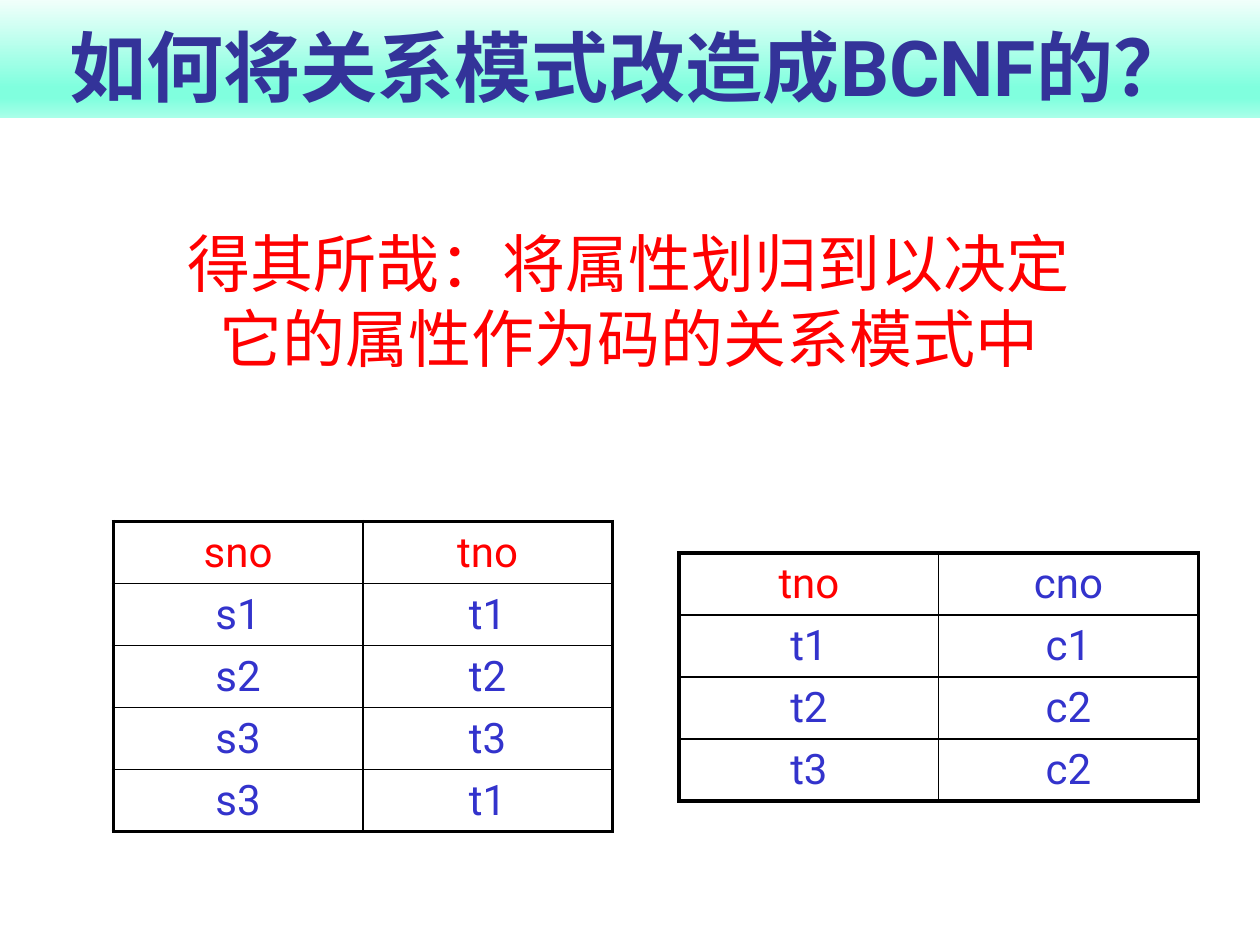
import pptx
import pptx.util
import pptx.dml.color
import pptx.enum.shapes
import pptx.enum.text
import pptx.oxml.ns
from lxml import etree

Inches, Pt = pptx.util.Inches, pptx.util.Pt
qn = pptx.oxml.ns.qn
ANCHOR = pptx.enum.text.MSO_ANCHOR

RED, BLUE, NAVY, BLACK = "FF0000", "3333CC", "333399", "000000"
CJK_FONT = "Noto Sans CJK SC"
TITLE = "如何将关系模式改造成BCNF的？"
PRINCIPLE = "得其所哉：将属性划归到以决定它的属性作为码的关系模式中"
TITLE_GRADIENT = [(0, "F1FFFB"), (74, "80FFDE"), (83, "80FFDE"), (100, "AAFFE9")]
ROW_HEIGHT = 0.49
RELATIONS = [
    {"left": 0.9, "top": 4.14, "column_width": 1.98, "key": ["sno", "tno"],
     "rows": [["sno", "tno"], ["s1", "t1"], ["s2", "t2"], ["s3", "t3"], ["s3", "t1"]]},
    {"left": 5.39, "top": 4.39, "column_width": 2.06, "key": ["tno"],
     "rows": [["tno", "cno"], ["t1", "c1"], ["t2", "c2"], ["t3", "c2"]]},
]


def rgb(color):
    return pptx.dml.color.RGBColor.from_string(color)


def write(frame, text, size, color, font="Roboto", bold=False, anchor=ANCHOR.TOP):
    frame.word_wrap = True
    frame.vertical_anchor = anchor
    paragraph = frame.paragraphs[0]
    paragraph.alignment = pptx.enum.text.PP_ALIGN.CENTER
    run = paragraph.add_run()
    run.text = text
    run.font.size = Pt(size)
    run.font.bold = bold
    run.font.color.rgb = rgb(color)
    run.font.name = font
    etree.SubElement(run.font._element, qn("a:ea"), typeface=CJK_FONT)


def add_color(parent, color):
    etree.SubElement(parent, qn("a:srgbClr"), val=color)


def fill_gradient(shape, stops):
    shape.fill.gradient()
    gradient = shape._element.spPr.find(qn("a:gradFill"))
    stop_list = gradient.find(qn("a:gsLst"))
    for old_stop in list(stop_list):
        stop_list.remove(old_stop)
    for position, color in stops:
        add_color(etree.SubElement(stop_list, qn("a:gs"), pos=str(position * 1000)), color)
    shape.fill.gradient_angle = 270


def set_borders(cell, widths):
    properties = cell._tc.get_or_add_tcPr()
    for index, (side, width) in enumerate(widths.items()):
        line = etree.Element(qn("a:ln" + side), w=str(Pt(width)))
        add_color(etree.SubElement(line, qn("a:solidFill")), BLACK)
        properties.insert(index, line)


def add_relation(slide, left, top, column_width, key, rows):
    row_count, column_count = len(rows), len(rows[0])
    table = slide.shapes.add_table(
        row_count, column_count, Inches(left), Inches(top),
        Inches(column_width * column_count), Inches(ROW_HEIGHT * row_count)).table
    table.first_row = table.horz_banding = False
    for r, row in enumerate(rows):
        for c, value in enumerate(row):
            cell = table.cell(r, c)
            cell.fill.background()
            write(cell.text_frame, value, size=24, color=RED if value in key else BLUE)
            outer = {"L": c == 0, "R": c == column_count - 1,
                     "T": r == 0, "B": r == row_count - 1}
            set_borders(cell, {side: 2.25 if edge else 1 for side, edge in outer.items()})


def main():
    deck = pptx.Presentation()
    deck.slide_width, deck.slide_height = Inches(10), Inches(7.5)
    slide = deck.slides.add_slide(deck.slide_layouts[6])

    banner = slide.shapes.add_shape(
        pptx.enum.shapes.MSO_SHAPE.RECTANGLE, 0, 0, deck.slide_width, Inches(0.94))
    banner.shadow.inherit = False
    banner.line.fill.background()
    fill_gradient(banner, TITLE_GRADIENT)
    write(banner.text_frame, TITLE, size=44, color=NAVY, bold=True, anchor=ANCHOR.BOTTOM)

    for relation in RELATIONS:
        add_relation(slide, **relation)

    principle = slide.shapes.add_textbox(Inches(1.36), Inches(1.73), Inches(7.26), Inches(1.31))
    write(principle.text_frame, PRINCIPLE, size=36, color=RED, font=CJK_FONT)

    deck.save("out.pptx")


if __name__ == "__main__":
    main()
